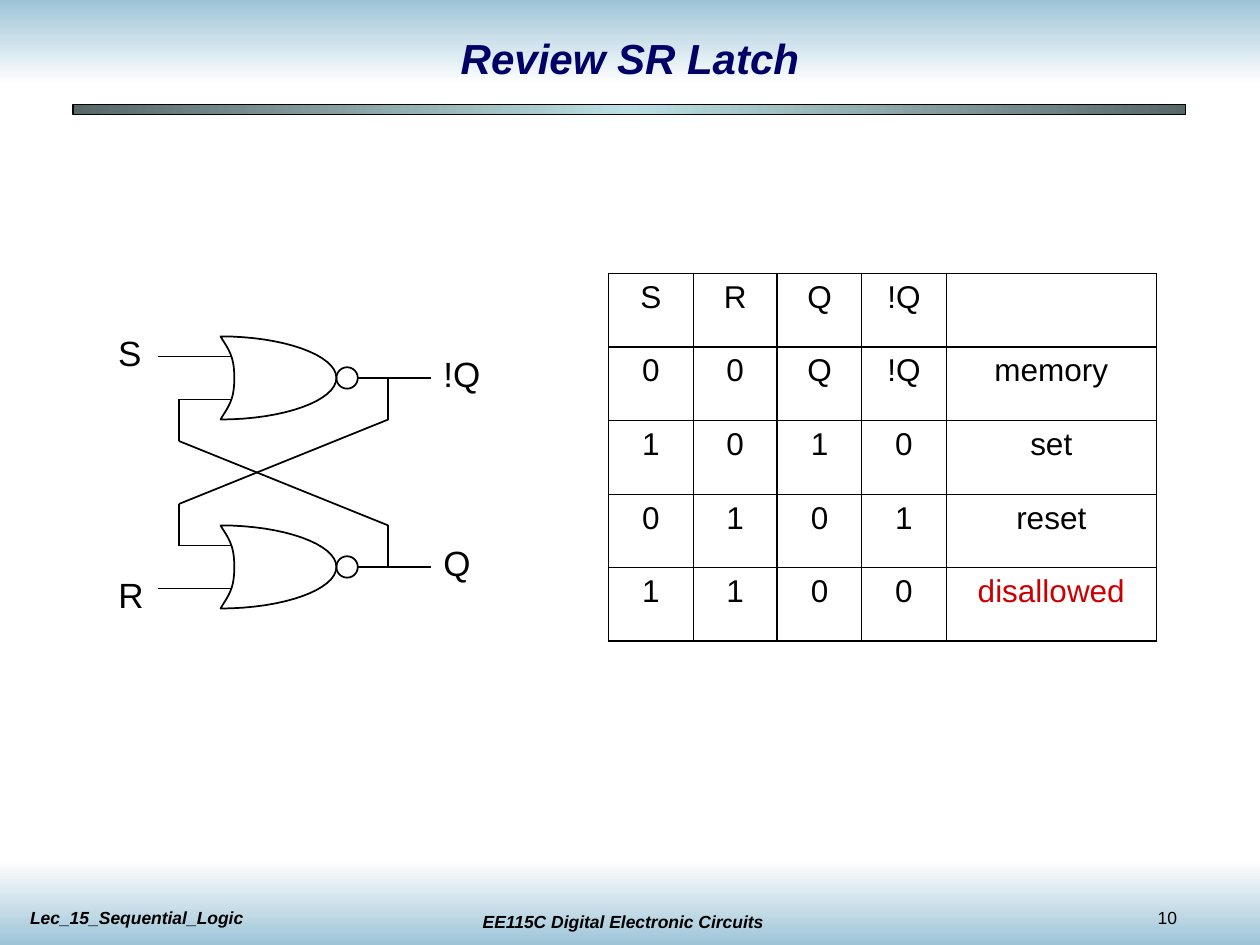
from lxml import etree
from pptx import Presentation
from pptx.dml.color import RGBColor
from pptx.enum import shapes as sh, text as tx
from pptx.oxml import ns
from pptx.util import Inches, Pt

BLACK = RGBColor(0, 0, 0)
NAVY = RGBColor(0, 0, 0x66)
RED = RGBColor(0xCC, 0, 0)
WHITE = RGBColor(0xFF, 0xFF, 0xFF)
SKY = RGBColor(0x9D, 0xC4, 0xD7)
SLATE = RGBColor(0x56, 0x67, 0x68)
AQUA = RGBColor(0xBB, 0xE0, 0xE3)
FONT = "Arial"
LEFT, MID = tx.PP_ALIGN.LEFT, tx.PP_ALIGN.CENTER

# Content
TITLE = "Review SR Latch"
BANDS = [  # box, gradient colours, angle, outlined
    ((0, 0, 10, 0.67), (SKY, WHITE), 270, False),
    ((0, 6.83, 10, 0.67), (WHITE, SKY), 270, False),
    ((0.58, 0.83, 8.83, 0.08), (SLATE, AQUA, SLATE), 0, True),
]
FOOT = [  # text, box, alignment, bold italic
    ("EE115C Digital Electronic Circuits", (3.53, 7.18, 2.83, 0.27), MID, True),
    ("10", (9.09, 7.15, 0.83, 0.27), LEFT, False),
    ("Lec_15_Sequential_Logic", (0.14, 7.15, 2.83, 0.27), LEFT, True),
]
TRUTH = [
    ("S", "R", "Q", "!Q", ""),
    ("0", "0", "Q", "!Q", "memory"),
    ("1", "0", "1", "0", "set"),
    ("0", "1", "0", "1", "reset"),
    ("1", "1", "0", "0", "disallowed"),
]
COLS = [0.67] * 4 + [1.67]
HIGH = 2.92
THICK_X, THICK_Y = (0, 2, 5), (0, 1, 5)  # heavy grid lines
LABELS = [("S", 0.84, 2.58, 0.4), ("R", 0.84, 4.5, 0.42),
          ("Q", 3.42, 4.25, 0.44), ("!Q", 3.42, 2.75, 0.55)]

# Latch layout: each gate is (centre y, side of its outer input)
GATES = [(3, -1), (4.5, 1)]
BACK, TIP, BUBBLE = 1.75, 2.67, 0.17
PIN, FEED, TAP, OUT = 1.83, 1.42, 3.08, 3.42
CURVES = [  # gate outline, y from the gate centre
    ((1.75, -0.33), (1.81, -0.23), (1.86, -0.18), (1.86, 0)),
    ((1.86, 0), (1.86, 0.18), (1.81, 0.23), (1.75, 0.33)),
    ((1.75, 0.33), (2.25, 0.33), (2.67, 0.18), (2.67, 0)),
    ((2.67, 0), (2.67, -0.18), (2.25, -0.33), (1.75, -0.33)),
]

prs = Presentation()
prs.slide_width, prs.slide_height = Inches(10), Inches(7.5)
slide = prs.slides.add_slide(prs.slide_layouts[5])
shapes = slide.shapes


def inch(box):
    return [Inches(v) for v in box]


def style(para, size, color=BLACK, strong=False, align=MID):
    para.alignment = align
    font = para.font
    font.name, font.size = FONT, Pt(size)
    font.bold = font.italic = strong
    font.color.rgb = color


def write(words, box, size, align=LEFT, strong=False):
    frame = shapes.add_textbox(*inch(box)).text_frame
    frame.text = words
    frame.word_wrap = True
    frame.auto_size = tx.MSO_AUTO_SIZE.SHAPE_TO_FIT_TEXT
    style(frame.paragraphs[0], size, strong=strong, align=align)


def blend(item, colors, angle):
    item.fill.gradient()
    item.fill.gradient_angle = angle
    stops = item.element.find(".//" + ns.qn("a:gsLst"))
    for old in list(stops):
        stops.remove(old)
    for i, color in enumerate(colors):
        pos = str(100000 * i // (len(colors) - 1))
        stop = etree.SubElement(stops, ns.qn("a:gs"), pos=pos)
        etree.SubElement(stop, ns.qn("a:srgbClr"), val=str(color))


def ink(item, width=1):
    item.line.color.rgb = BLACK
    item.line.width = Pt(width)


def wire(x1, y1, x2, y2):
    line = shapes.add_connector(sh.MSO_CONNECTOR.STRAIGHT,
                                *inch((x1, y1, x2, y2)))
    ink(line)
    etree.SubElement(line.element.spPr, ns.qn("a:effectLst"))


def bezier(curve, steps=16):
    for n in range(1, steps + 1):
        t = n / steps
        parts = ((1 - t) ** 3, 3 * t * (1 - t) ** 2, 3 * t * t * (1 - t), t ** 3)
        yield tuple(sum(w * p[k] for w, p in zip(parts, curve)) for k in (0, 1))


def gate(mid):
    pts = [(Inches(x), Inches(mid + y)) for c in CURVES for x, y in bezier(c)]
    pen = shapes.build_freeform(Inches(BACK), Inches(mid - 0.33))
    pen.add_line_segments(pts, close=True)
    body = pen.convert_to_shape()
    ring = shapes.add_shape(sh.MSO_SHAPE.OVAL, *inch(
        (TIP, mid - BUBBLE / 2, BUBBLE, BUBBLE)))
    for item in (body, ring):
        item.shadow.inherit = False
        item.fill.background()
        ink(item)


def border(cell, row, col):
    props = cell._tc.get_or_add_tcPr()
    edges = (("L", col in THICK_X), ("R", col + 1 in THICK_X),
             ("T", row in THICK_Y), ("B", row + 1 in THICK_Y))
    for i, (side, thick) in enumerate(edges):
        line = etree.Element(ns.qn("a:ln" + side),
                             w=str(Pt(1.08 if thick else 0.45)))
        fill = etree.SubElement(line, ns.qn("a:solidFill"))
        etree.SubElement(fill, ns.qn("a:srgbClr"), val=str(BLACK))
        props.insert(i, line)


# Bands and footer
for box, colors, angle, lined in BANDS:
    band = shapes.add_shape(sh.MSO_SHAPE.RECTANGLE, *inch(box))
    band.shadow.inherit = False
    blend(band, colors, angle)
    if lined:
        ink(band, 0.75)
    else:
        band.line.fill.background()
for words, box, align, strong in FOOT:
    write(words, box, 10, align, strong)

# Title, raised above the bands
title = shapes.title
title.left, title.top, title.width, title.height = inch((0.75, 0.17, 8.5, 0.58))
title.text_frame.text = TITLE
title.text_frame.vertical_anchor = tx.MSO_ANCHOR.MIDDLE
style(title.text_frame.paragraphs[0], 24, NAVY, True)
title.element.getparent().append(title.element)

# Truth table
table = shapes.add_table(len(TRUTH), len(COLS), *inch(
    (4.83, 2.17, sum(COLS), HIGH))).table
table.first_row = table.horz_banding = False
for col, width in zip(table.columns, COLS):
    col.width = Inches(width)
for r, row in enumerate(TRUTH):
    for c, words in enumerate(row):
        cell = table.cell(r, c)
        cell.text = words
        cell.fill.background()
        style(cell.text_frame.paragraphs[0], 18,
              RED if words == "disallowed" else BLACK)
        border(cell, r, c)

# Latch: gates, inputs, outputs and crossed feedback
for (mid, side), (other, _) in zip(GATES, GATES[::-1]):
    gate(mid)
    outer, inner = mid + side * 0.17, mid - side * 0.17
    bend, far = inner - side * 0.33, other + side * 0.33
    wire(1.25, outer, PIN, outer)
    wire(FEED, inner, PIN, inner)
    wire(TIP + BUBBLE, mid, OUT, mid)
    wire(FEED, inner, FEED, bend)
    wire(TAP, other, TAP, far)
    wire(FEED, bend, TAP, far)
for words, x, y, width in LABELS:
    write(words, (x, y, width, 0.44), 20)

prs.save("out.pptx")
